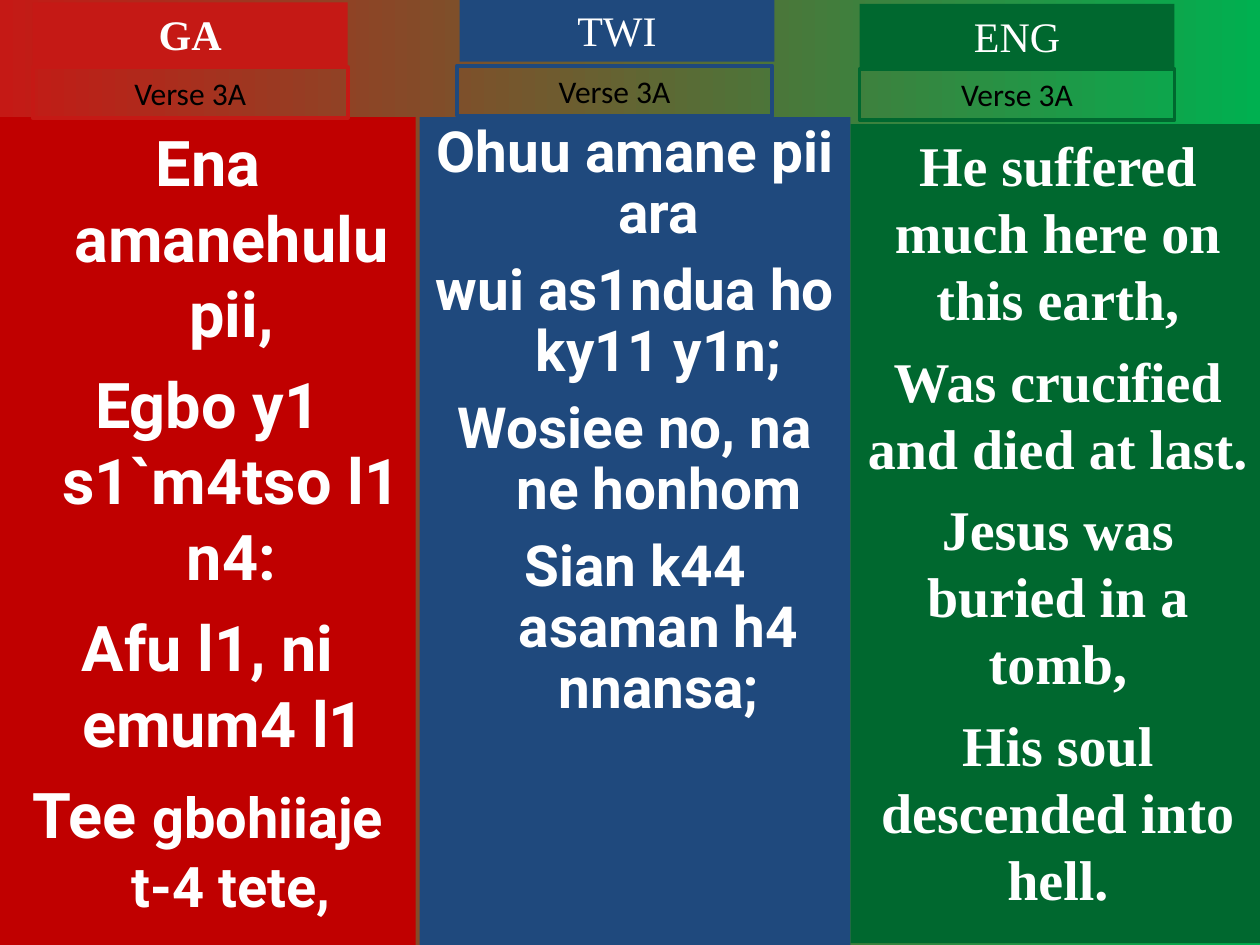
from pptx import Presentation
from pptx.dml.color import RGBColor
from pptx.enum.shapes import MSO_SHAPE as Preset
from pptx.enum.text import MSO_ANCHOR as Anchor, MSO_AUTO_SIZE as AutoSize, PP_ALIGN as Align
from pptx.util import Pt

WHITE = RGBColor(0xFF, 0xFF, 0xFF)
BLACK = RGBColor(0x00, 0x00, 0x00)
RED = RGBColor(0xC5, 0x19, 0x15)
DARK_RED = RGBColor(0xC0, 0x00, 0x00)
BLUE = RGBColor(0x1F, 0x49, 0x7D)
GREEN = RGBColor(0x00, 0x68, 0x2F)
BRIGHT_GREEN = RGBColor(0x00, 0xB0, 0x50)
SERIF, SANS, LABEL = "Times New Roman", "Roboto", "Calibri"

GA_LINES = [
    [("Ena amanehulu pii,", 36)],
    [("Egbo y1 s1`m4tso l1 n4:", 36)],
    [("Afu l1, ni emum4 l1 ", 36)],
    [("Tee ", 36), ("gbohiiaje t-4 tete,", 32)],
]
TWI_LINES = [[(line, 32.4)] for line in (
    "Ohuu amane pii ara",
    "wui as1ndua ho ky11 y1n;",
    "Wosiee no, na ne honhom",
    "Sian k44 asaman h4 nnansa;",
)]
ENG_LINES = [[(line, 32)] for line in (
    "He suffered much here on this earth,",
    "Was crucified and died at last.",
    "Jesus was buried in a tomb,",
    "His soul descended into hell.",
)]


class HymnSlide:
    """Style and current slide of a three-language hymn verse."""

    tab_width, title_height, verse_height = 180, 36, 28.8
    border, hanging = 2.25, 27

    def __init__(self, deck):
        self.slide = deck.slides.add_slide(deck.slide_layouts[6])

    def background(self, start, end):
        fill = self.slide.background.fill
        fill.gradient()
        fill.gradient_angle = 0
        for stop, color, position in zip(fill.gradient_stops, (start, end), (0, 1)):
            stop.color.rgb = color
            stop.position = position

    def box(self, left, top, width, height, fill=None, line=None):
        panel = self.slide.shapes.add_shape(
            Preset.RECTANGLE, Pt(left), Pt(top), Pt(width), Pt(height))
        panel.shadow.inherit = False
        if fill is None:
            panel.fill.background()
        else:
            panel.fill.solid()
            panel.fill.fore_color.rgb = fill
        if line is None:
            panel.line.fill.background()
        else:
            panel.line.color.rgb = line
            panel.line.width = Pt(self.border)
        frame = panel.text_frame
        frame.word_wrap = True
        frame.vertical_anchor = Anchor.TOP
        return frame

    def run(self, paragraph, text, size, font, color, bold=False):
        paragraph.alignment = Align.CENTER
        run = paragraph.add_run()
        run.text = text
        run.font.size = Pt(size)
        run.font.name = font
        run.font.bold = bold
        run.font.color.rgb = color

    def title(self, left, top, text, fill, bold=False):
        frame = self.box(left, top, self.tab_width, self.title_height, fill=fill)
        frame.auto_size = AutoSize.SHAPE_TO_FIT_TEXT
        self.run(frame.paragraphs[0], text, 24, SERIF, WHITE, bold)

    def verse(self, left, top, text, line):
        frame = self.box(left, top, self.tab_width, self.verse_height, line=line)
        frame.auto_size = AutoSize.SHAPE_TO_FIT_TEXT
        self.run(frame.paragraphs[0], text, 18, LABEL, BLACK)

    def lyrics(self, place, lines, fill, font, gap, spacing=1.0, hanging=False):
        frame = self.box(*place, fill=fill)
        for number, runs in enumerate(lines):
            paragraph = frame.add_paragraph() if number else frame.paragraphs[0]
            paragraph.line_spacing = spacing
            if number:
                paragraph.space_before = Pt(gap)
            if hanging:
                properties = paragraph._p.get_or_add_pPr()
                properties.set("marL", str(Pt(self.hanging)))
                properties.set("indent", str(-Pt(self.hanging)))
            for text, size in runs:
                self.run(paragraph, text, size, font, WHITE, bold=True)


def main():
    deck = Presentation()
    deck.slide_width, deck.slide_height = Pt(720), Pt(540)
    hymn = HymnSlide(deck)
    hymn.background(RED, BRIGHT_GREEN)

    hymn.lyrics((0, 67, 237.6, 473), GA_LINES, DARK_RED, SANS, 9, hanging=True)
    hymn.lyrics((239.8, 67, 246.2, 473), TWI_LINES, BLUE, SANS, 8.8, 0.9, hanging=True)
    hymn.title(18.7, 1.4, "GA", RED, bold=True)
    hymn.title(262.6, -0.7, "TWI", BLUE)
    hymn.verse(18.7, 38.5, "Verse 3A", RED)
    hymn.verse(261.2, 37.5, "Verse 3A", BLUE)
    hymn.lyrics((486, 71, 237, 468), ENG_LINES, GREEN, SERIF, 8)
    hymn.title(491.2, 2.2, "ENG", GREEN)
    hymn.verse(491.2, 39.6, "Verse 3A", GREEN)

    deck.save("out.pptx")


if __name__ == "__main__":
    main()
